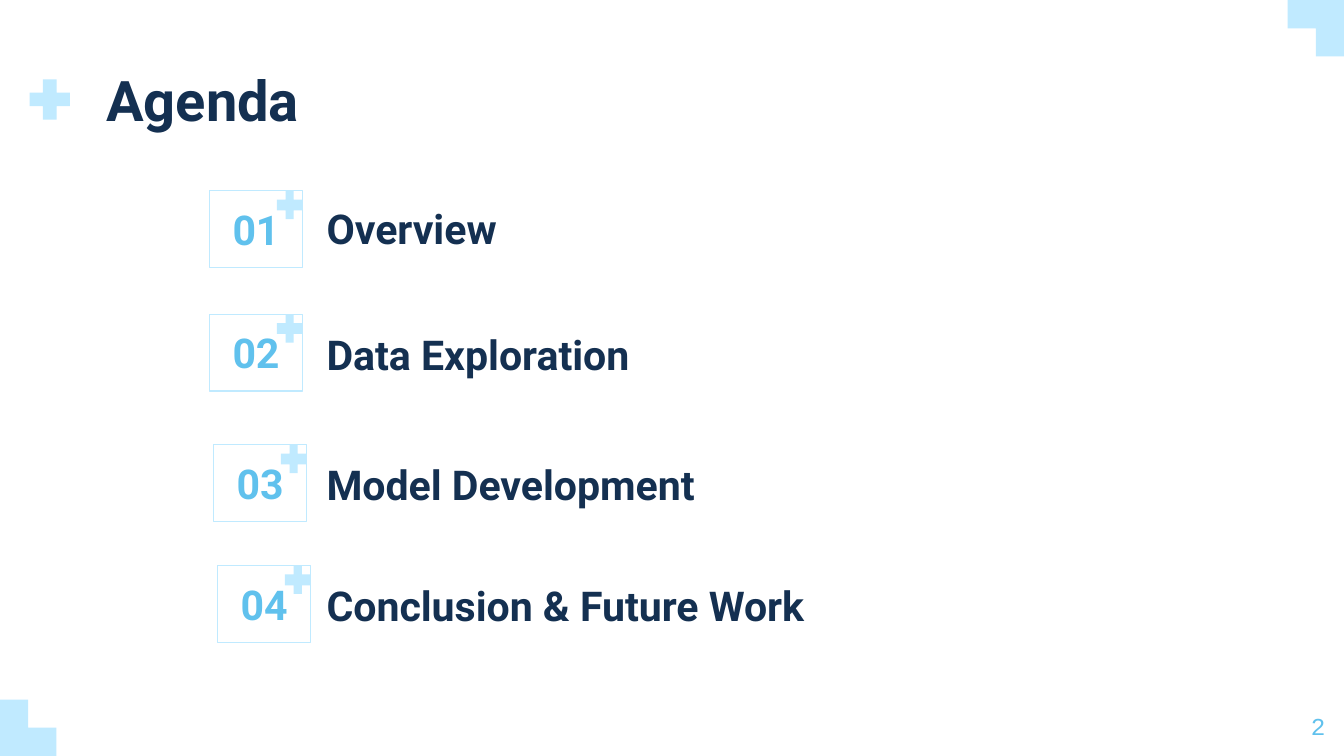
from pptx import Presentation
from pptx.dml.color import RGBColor
from pptx.enum.shapes import MSO_SHAPE as SHAPE
from pptx.enum.text import MSO_ANCHOR as ANCHOR, MSO_AUTO_SIZE as AUTO_SIZE, PP_ALIGN as ALIGN
from pptx.util import Inches, Pt

NAVY = RGBColor(0x14, 0x30, 0x51)
BLUE = RGBColor(0x60, 0xC1, 0xED)
PALE_BLUE = RGBColor(0xC0, 0xEA, 0xFF)


def write(box, text, size, color=NAVY, font="Roboto", bold=True,
          align=ALIGN.LEFT, anchor=ANCHOR.TOP, insets=(0, 0, 0, 0)):
    """Fill a shape with one formatted line; insets are left, top, right, bottom."""
    frame = box.text_frame
    frame.word_wrap = True
    frame.auto_size = AUTO_SIZE.NONE
    frame.vertical_anchor = anchor
    (frame.margin_left, frame.margin_top,
     frame.margin_right, frame.margin_bottom) = map(Inches, insets)
    para = frame.paragraphs[0]
    para.alignment = align
    span = para.add_run()
    span.text = text
    span.font.name = font
    span.font.size = Pt(size)
    span.font.bold = bold
    span.font.color.rgb = color


def add_shape(kind, left, top, width, height, fill=PALE_BLUE, line=None):
    shape = page.shapes.add_shape(
        kind, Inches(left), Inches(top), Inches(width), Inches(height))
    shape.shadow.inherit = False
    if fill is None:
        shape.fill.background()
    else:
        shape.fill.solid()
        shape.fill.fore_color.rgb = fill
    if line is None:
        shape.line.fill.background()
    else:
        shape.line.color.rgb = line
        shape.line.width = Pt(0.75)
    return shape


deck = Presentation()
deck.slide_width = Inches(10)
deck.slide_height = deck.slide_width * 9 // 16
page = deck.slides.add_slide(deck.slide_layouts[5])

# Corner decorations and title
title_cross = add_shape(SHAPE.CROSS, 0.22, 0.59, 0.3, 0.3)
title_cross.adjustments[0] = 0.33
top_corner = add_shape(SHAPE.CORNER, 9.58, 0, 0.42, 0.42)
top_corner.rotation = 180
bottom_corner = add_shape(SHAPE.CORNER, 0, 5.2, 0.42, 0.42)
bottom_corner.top = deck.slide_height - bottom_corner.height

title = page.shapes.title
title.left, title.top = Inches(0.79), Inches(0.49)
title.width, title.height = Inches(8.43), Inches(0.5)
write(title, "Agenda", 30, insets=(0, 0, 0.1, 0.1))

# Agenda items: heading, badge left and top, heading top, width and height
BADGE_WIDTH, BADGE_HEIGHT = 0.69, 0.57
CROSS_WIDTH, CROSS_HEIGHT = 0.19, 0.21
agenda = [
    ("Overview", 1.56, 1.42, 1.41, 2.04, 0.58),
    ("Data Exploration", 1.56, 2.34, 2.27, 3.83, 0.73),
    ("Model Development", 1.59, 3.31, 3.21, 3.06, 0.78),
    ("Conclusion & Future Work", 1.62, 4.21, 4, 5.25, 1),
]
for number, (heading, left, top, heading_top, width, height) in enumerate(agenda, 1):
    heading_box = page.shapes.add_textbox(
        Inches(2.43), Inches(heading_top), Inches(width), Inches(height))
    write(heading_box, heading, 22, anchor=ANCHOR.MIDDLE)

    badge = add_shape(SHAPE.RECTANGLE, left, top, BADGE_WIDTH, BADGE_HEIGHT,
                      fill=None, line=PALE_BLUE)
    write(badge, f"{number:02}", 22, color=BLUE, align=ALIGN.CENTER,
          insets=(0.1, 0.1, 0.1, 0.1))
    badge_cross = add_shape(SHAPE.CROSS, left + BADGE_WIDTH - CROSS_WIDTH, top,
                            CROSS_WIDTH, CROSS_HEIGHT)
    badge_cross.adjustments[0] = 0.34

page_number = page.shapes.add_textbox(
    Inches(9.36), Inches(5.19), Inches(0.6), Inches(0.43))
write(page_number, "2", 13, color=BLUE, font="Courier New", bold=False,
      align=ALIGN.RIGHT, insets=(0.1, 0.1, 0.1, 0.1))

deck.save("out.pptx")
